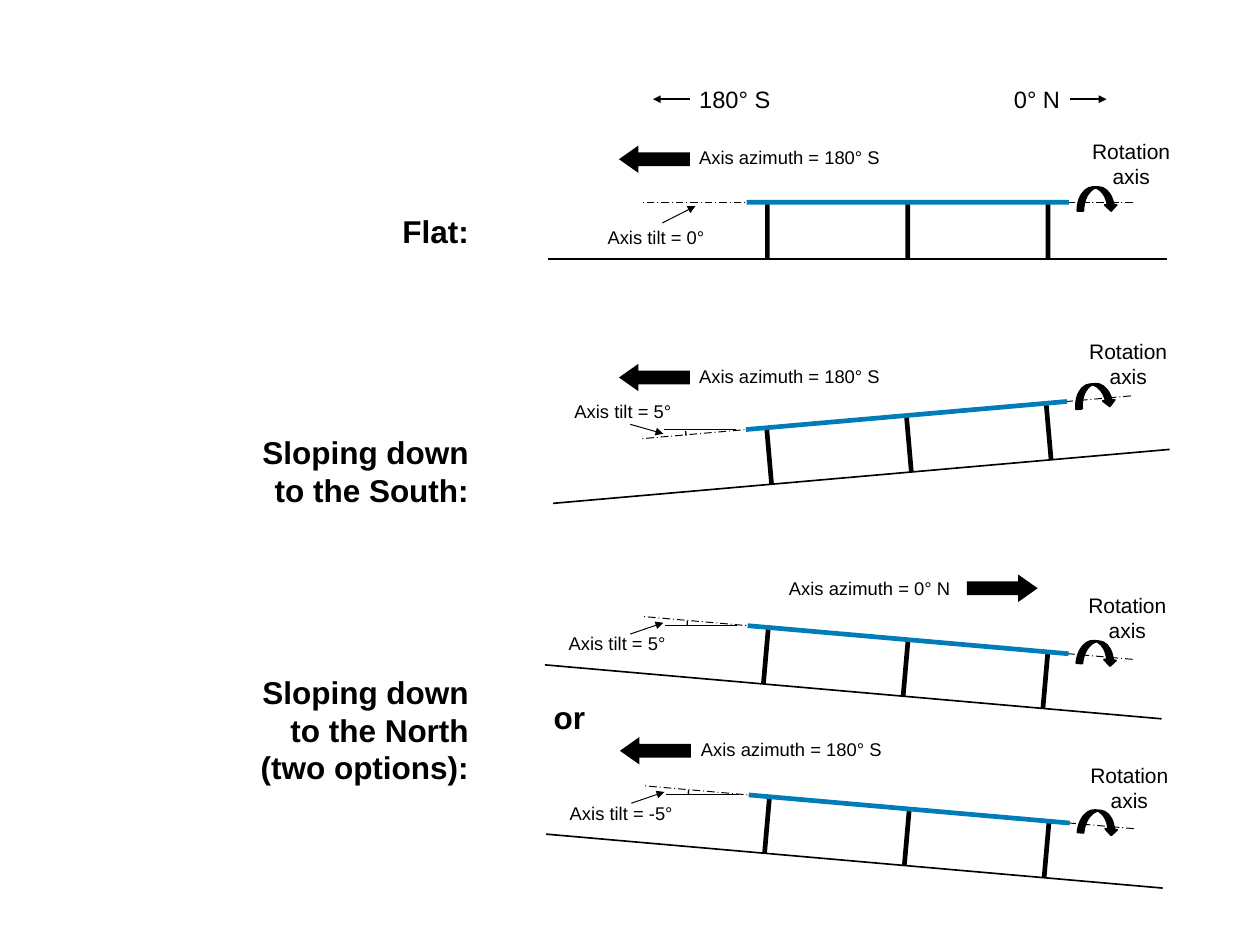
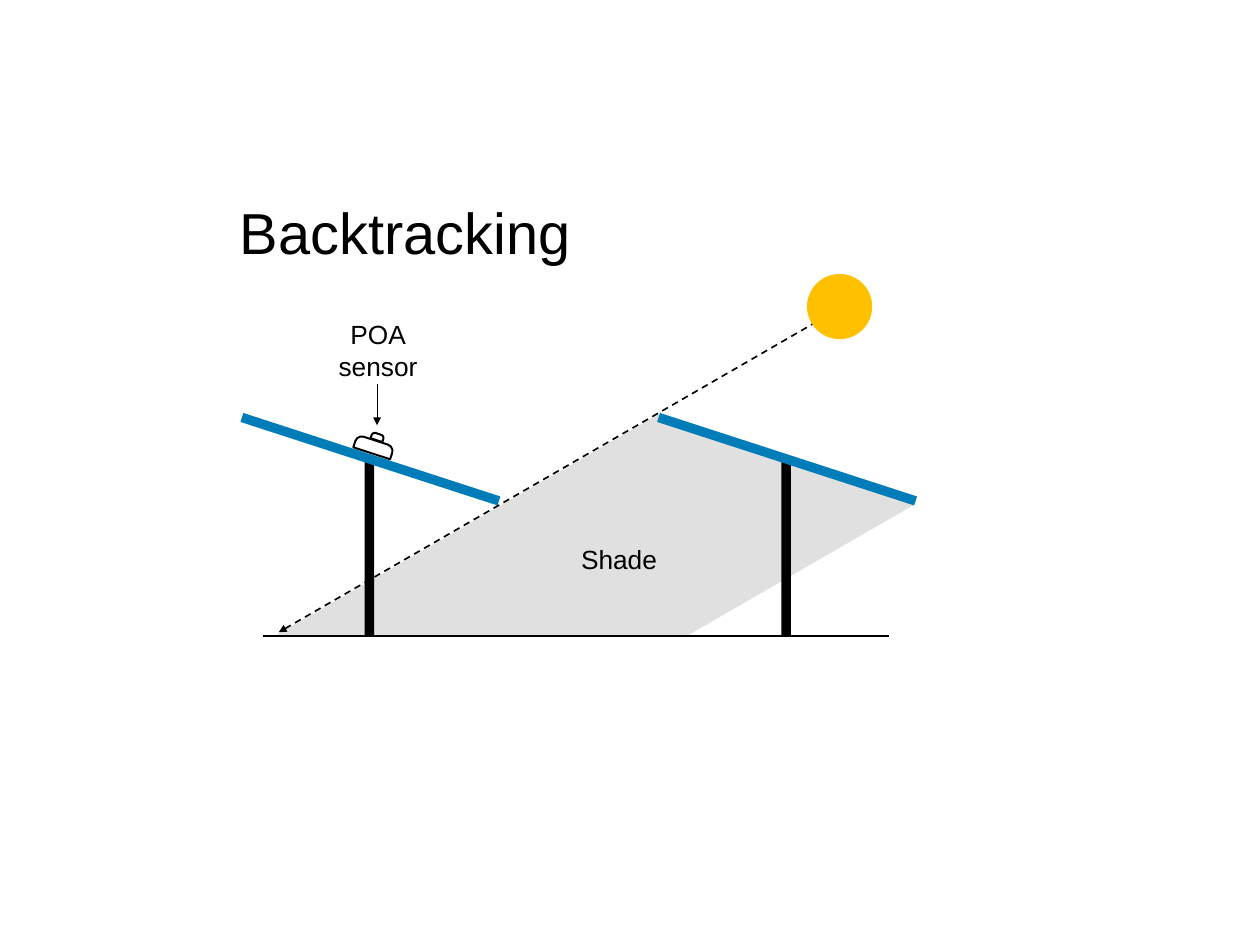
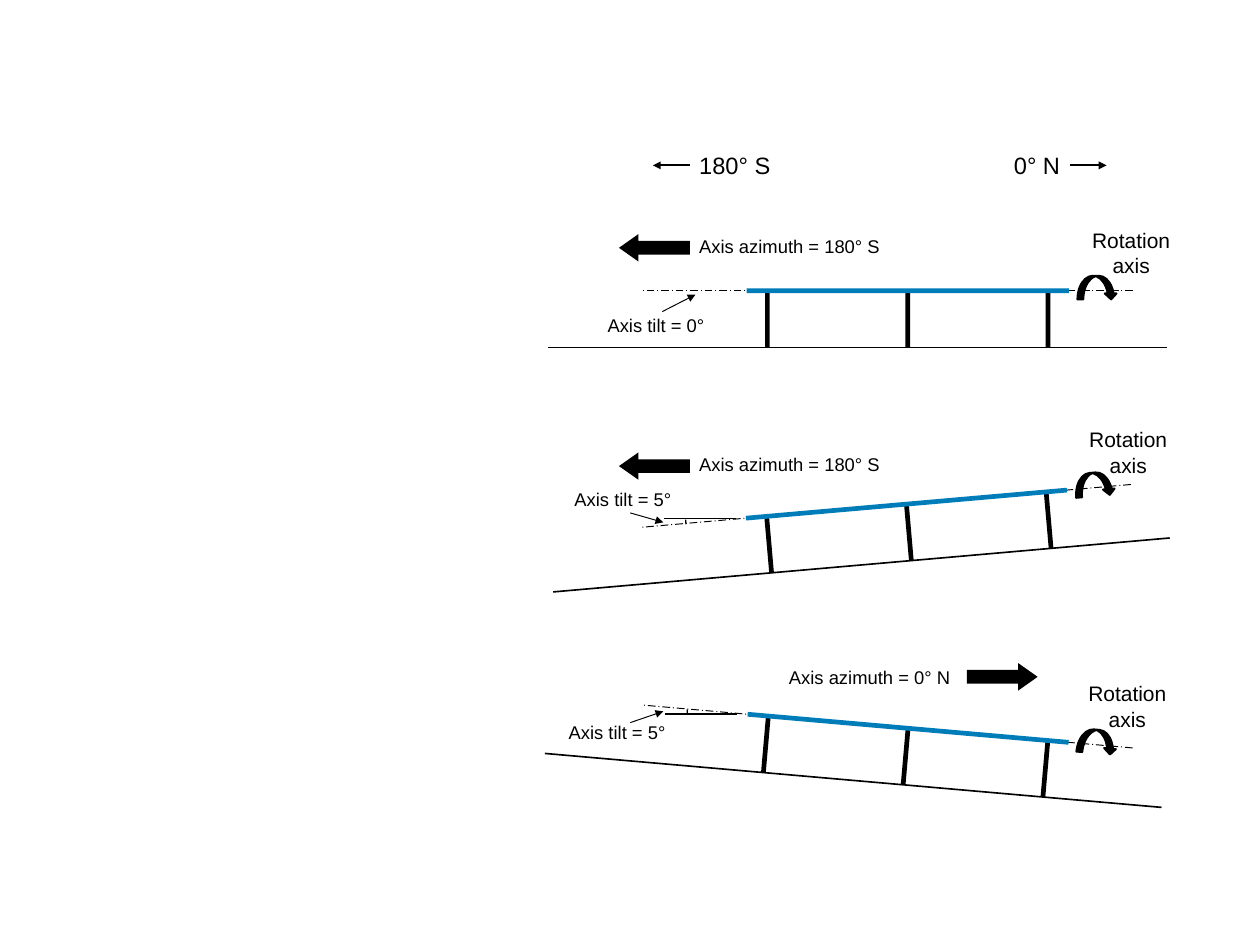
from math import cos, radians, sin

from lxml.etree import SubElement
from pptx import Presentation
from pptx.dml.color import RGBColor
from pptx.enum.dml import MSO_LINE as Dash
from pptx.enum.shapes import MSO_CONNECTOR as Connector, MSO_SHAPE as Kind
from pptx.enum.text import MSO_AUTO_SIZE as AutoSize, PP_ALIGN as Align
from pptx.oxml.ns import qn
from pptx.util import Pt

color = RGBColor.from_string
BLACK, WHITE, PANEL, SHADE, SUN = "000000", "FFFFFF", "007DB9", "E0E0E0", "FFC000"
FONT = "Arial"


def add_shape(page, kind, x, y, width, height, turn=0, fill=BLACK, outline=0, adjust=()):
    """Add a preset shape centred on (x, y); an empty fill leaves it open."""
    shape = page.shapes.add_shape(kind, Pt(x - width / 2), Pt(y - height / 2), Pt(width), Pt(height))
    shape.shadow.inherit = False
    shape.rotation = turn
    for index, value in enumerate(adjust):
        shape.adjustments[index] = value
    if fill:
        shape.fill.solid()
        shape.fill.fore_color.rgb = color(fill)
    else:
        shape.fill.background()
    if outline:
        shape.line.width = Pt(outline)
        shape.line.color.rgb = color(BLACK)
    else:
        shape.line.fill.background()


def add_line(page, start, end, width, dash=None, arrow=None):
    """Add a black line; arrow is headEnd (at start) or tailEnd (at end)."""
    line = page.shapes.add_connector(Connector.STRAIGHT, *map(Pt, (*start, *end)))
    line.line.width = Pt(width)
    line.line.color.rgb = color(BLACK)
    if dash:
        line.line.dash_style = dash
    properties = line._element.spPr
    if arrow:
        SubElement(properties.find(qn("a:ln")), qn("a:" + arrow), type="triangle")
    SubElement(properties, qn("a:effectLst"))


deck = Presentation()
deck.slide_width, deck.slide_height = Pt(960), Pt(720)
tilt_page, backtracking_page, plain_tilt_page = [
    deck.slides.add_slide(deck.slide_layouts[6]) for _ in range(3)]

# Text styles: size, bold, alignment, wrapping
SMALL = dict(size=14, bold=False, align=Align.LEFT, wrap=False)
SPIN = dict(SMALL, size=16, align=Align.CENTER)
COMPASS = dict(SMALL, size=18, wrap=True)
NOTE = dict(SMALL, size=20)
CENTRED_NOTE = dict(NOTE, align=Align.CENTER)
TITLE = dict(SMALL, size=44)
HEADING = dict(size=24, bold=True, align=Align.RIGHT, wrap=True)
labels = []  # page, text, (left, top, width, height), style

# Tracker rows: the pivot is the middle of the rotation axis
SOUTH, NORTH = "Axis azimuth = 180° S", "Axis azimuth = 0° N"
trackers = [
    dict(pivot=(691.6, 154.1), slope=0, azimuth=SOUTH, azimuth_at=(525.6, 108), arrow=(498.6, 121.3),
         spin_at=(824.4, 102.2), tilt="Axis tilt = 0°", tilt_at=(455.8, 168.5),
         pointer=(504.7, 169.9), rise=-12.9),
    dict(pivot=(690.6, 316.6), slope=-5, azimuth=SOUTH, azimuth_at=(525.6, 274.3), arrow=(498.6, 287.6),
         spin_at=(822.2, 254.2), tilt="Axis tilt = 5°", tilt_at=(430.6, 301),
         pointer=(480.2, 323.3), rise=7.2),
    dict(pivot=(691.9, 487.4), slope=5, azimuth=NORTH, azimuth_at=(594, 436.3), arrow=(763.6, 448.2),
         spin_at=(821.5, 447.8), tilt="Axis tilt = 5°", tilt_at=(426.2, 478.1),
         pointer=(480.2, 483.1), rise=-8.6),
    dict(pivot=(692.8, 616.4), slope=5, azimuth=SOUTH, azimuth_at=(527, 558.7), arrow=(499.3, 572),
         spin_at=(823, 577.4), tilt="Axis tilt = -5°", tilt_at=(427, 607.7),
         pointer=(481, 612), rise=-8.6),
]

for page, rows, drop, compass_y in ((tilt_page, trackers, 0, 75.6),
                                    (plain_tilt_page, trackers[:3], 67.5, 126)):
    for row in rows:
        slope = row["slope"]
        turn_cos, turn_sin = cos(radians(slope)), sin(radians(slope))
        pivot_x, pivot_y = row["pivot"][0], row["pivot"][1] + drop

        # Points along the axis (0) and below it, turned with the slope
        axis_start, axis_end, ground_start, ground_end, spin, *posts = [
            (pivot_x + along * turn_cos - below * turn_sin,
             pivot_y + along * turn_sin + below * turn_cos)
            for along, below in ((171.7, 0), (-202.7, 0), (-274, 43.2), (197.6, 43.2),
                                 (144.4, -2.5), (-106.9, 21.6), (0, 21.6), (106.9, 21.6))]
        add_line(page, axis_start, axis_end, 0.75, dash=Dash.LONG_DASH_DOT)
        add_line(page, ground_start, ground_end, 1.25)
        for post in posts:
            add_shape(page, Kind.RECTANGLE, *post, 3.6, 43.2, slope)
        add_shape(page, Kind.RECTANGLE, pivot_x, pivot_y, 3.6, 245.5, 90 + slope, PANEL)
        add_shape(page, Kind.CURVED_DOWN_ARROW, *spin, 30.2, 18, slope, outline=1.5)

        arrow_x, arrow_y = row["arrow"]
        add_shape(page, Kind.UP_ARROW, arrow_x, arrow_y + drop, 20.9, 54,
                  270 if row["azimuth"] == SOUTH else 90, adjust=(0.5, 0.71))

        pointer_x, pointer_y = row["pointer"][0], row["pointer"][1] + drop
        add_line(page, (pointer_x, pointer_y), (pointer_x + 25.2, pointer_y + row["rise"]),
                 0.75, arrow="tailEnd")
        if slope:
            level = pivot_y + (10.8 if slope < 0 else -10.8)
            add_line(page, (pivot_x - 185, level), (pivot_x - 130, level), 1)
            arc_y, arc_start = (9.8, 171.55) if slope < 0 else (-12.5, 177.33)
            # Arc adjustments count 0.6 to the degree
            add_shape(page, Kind.ARC, pivot_x - 130.5, pivot_y + arc_y, 75.6, 75.6, fill="",
                      outline=1, adjust=(arc_start * 0.6, (arc_start + 5.42) * 0.6))

        for text, (left, top), width, height, style in (
                ("Rotation\naxis", row["spin_at"], 74.9, 46.1, SPIN),
                (row["azimuth"], row["azimuth_at"], 153.4 if row["azimuth"] == SOUTH else 138.2, 24.5, SMALL),
                (row["tilt"], row["tilt_at"], 93.6 if "-" in row["tilt"] else 88.6, 24.5, SMALL)):
            labels.append((page, text, (left, top + drop, width, height), style))

    for text, left, start, end in (("180° S", 525.6, 525.6, 497.5), ("0° N", 765.4, 815, 843.1)):
        labels.append((page, text, (left, compass_y - 14.4, 85.7, 28.8), COMPASS))
        add_line(page, (start, compass_y), (end, compass_y), 1.5, arrow="tailEnd")

labels += [
    (tilt_page, "Flat:", (278.6, 157.7, 85.7, 36), HEADING),
    (tilt_page, "Sloping down to the South:", (188.6, 326.2, 175.7, 65.5), HEADING),
    (tilt_page, "Sloping down to the North\n(two options):", (188.6, 509, 175.7, 94.3), HEADING),
    (tilt_page, "or", (367.2, 528.5, 85.7, 36), HEADING),
    (backtracking_page, "Shade", (435.6, 410.4, 72.7, 31.7), NOTE),
    (backtracking_page, "POA\nsensor", (250.6, 239, 74.9, 55.4), CENTRED_NOTE),
    (backtracking_page, "Backtracking", (175.7, 146.2, 269.3, 60.5), TITLE),
]

# Backtracking: the shade is trimmed by white areas above the right panel and below ground
add_shape(backtracking_page, Kind.RECTANGLE, 453.6, 434.2, 157, 469.4, 60, SHADE)
add_shape(backtracking_page, Kind.RECTANGLE, 619.6, 298.8, 212.4, 106.6, 18, WHITE)
for mast_x in (281.5, 599):
    add_shape(backtracking_page, Kind.RECTANGLE, mast_x, 416.2, 7.2, 136.8)
    add_shape(backtracking_page, Kind.RECTANGLE, mast_x + 0.7, 349.9, 205.9, 7.2, 18, PANEL)
for sensor_part in ((284.8, 340.6, 29.5, 10.1), (287.6, 333, 9.4, 5)):
    add_shape(backtracking_page, Kind.ROUND_2_SAME_RECTANGLE, *sensor_part, 18, WHITE, 1.5, (0.5, 0))
add_line(backtracking_page, (212.4, 481.7), (636.5, 236.9), 1.25, Dash.DASH, "headEnd")
add_shape(backtracking_page, Kind.OVAL, 639.7, 233.6, 49.7, 49.7, fill=SUN)
add_line(backtracking_page, (287.3, 292.3), (287.3, 324), 0.75, arrow="tailEnd")
add_shape(backtracking_page, Kind.RECTANGLE, 371.5, 552.6, 322.6, 136.1, fill=WHITE)
add_line(backtracking_page, (200.2, 484.6), (677.5, 484.6), 1.25)

for page, text, place, style in labels:
    box = page.shapes.add_textbox(*map(Pt, place))
    frame = box.text_frame
    frame.text = text
    frame.word_wrap = style["wrap"]
    frame.auto_size = AutoSize.SHAPE_TO_FIT_TEXT
    for para in frame.paragraphs:
        para.alignment = style["align"]
        for span in para.runs:
            span.font.color.rgb = color(BLACK)
            for name, value in dict(name=FONT, size=Pt(style["size"]), bold=style["bold"]).items():
                setattr(span.font, name, value)

# "or" reads from the left, between the two north-sloping rows
for shape in tilt_page.shapes:
    if shape.has_text_frame and shape.text_frame.text == "or":
        shape.text_frame.paragraphs[0].alignment = Align.RIGHT

deck.save("out.pptx")
